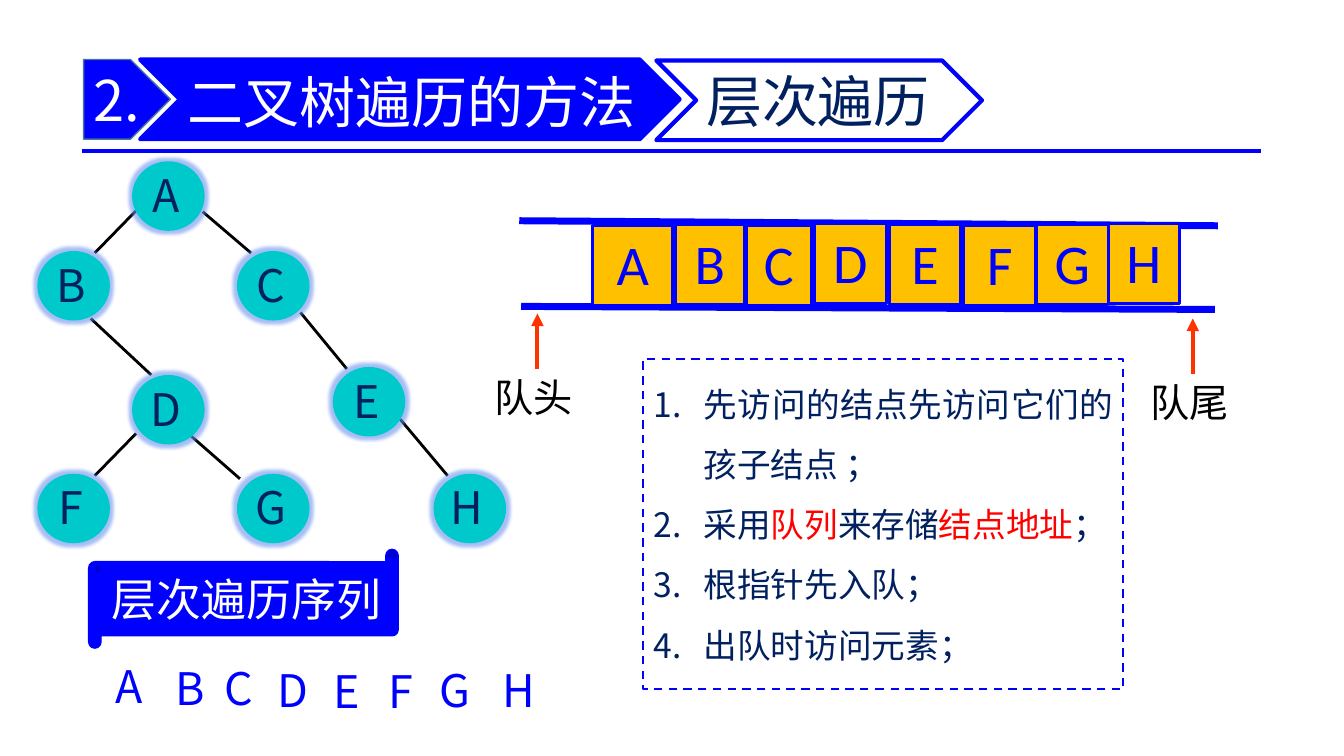
from lxml import etree
from pptx import Presentation
from pptx.dml.color import RGBColor
from pptx.enum.dml import MSO_LINE
from pptx.enum.shapes import MSO_CONNECTOR, MSO_SHAPE
from pptx.enum.text import MSO_ANCHOR, MSO_AUTO_SIZE, PP_ALIGN
from pptx.oxml.ns import qn
from pptx.util import Inches, Pt

BLUE = RGBColor(0x00, 0x00, 0xFF)
STEEL = RGBColor(0x43, 0x73, 0x9E)
NAVY = RGBColor(0x00, 0x20, 0x60)
TEAL = RGBColor(0x00, 0xC9, 0xCB)
GLOW = RGBColor(0x6D, 0x94, 0xF0)
AMBER = RGBColor(0xFF, 0xC0, 0x00)
ORANGE = RGBColor(0xFF, 0x33, 0x00)
RED = RGBColor(0xFF, 0x00, 0x00)
BLACK = RGBColor(0x00, 0x00, 0x00)
WHITE = RGBColor(0xFF, 0xFF, 0xFF)
CJK, LATIN = "Noto Sans CJK SC", "Calibri"
LEFT, CENTER, JUSTIFY = PP_ALIGN.LEFT, PP_ALIGN.CENTER, PP_ALIGN.JUSTIFY
MIDDLE, TOP = MSO_ANCHOR.MIDDLE, MSO_ANCHOR.TOP
NO_FIT, DASH, STRAIGHT = MSO_AUTO_SIZE.NONE, MSO_LINE.DASH, MSO_CONNECTOR.STRAIGHT
RECT, OVAL, CHEVRON = MSO_SHAPE.RECTANGLE, MSO_SHAPE.OVAL, MSO_SHAPE.CHEVRON
PENTAGON, SCROLL = MSO_SHAPE.PENTAGON, MSO_SHAPE.HORIZONTAL_SCROLL

NODE_W, NODE_H = 0.72, 0.69
NODES = {"A": (1.31, 1.6), "B": (0.37, 2.49), "C": (2.35, 2.49), "D": (1.31, 3.72),
         "E": (3.3, 3.64), "F": (0.37, 4.7), "G": (2.35, 4.7), "H": (4.3, 4.7)}
EDGES = [(1.35, 2.09, 0.94, 2.51), (2.01, 2.1, 2.49, 2.51), (0.9, 3.16, 1.5, 3.72),
         (2.98, 3.1, 3.44, 3.66), (1.35, 4.3, 0.94, 4.72), (1.9, 4.33, 2.38, 4.75),
         (3.97, 4.16, 4.44, 4.72)]
# letter: left, top, width
QUEUE = {"A": (5.88, 2.24, 0.79), "B": (6.7, 2.23, 0.68), "C": (7.4, 2.24, 0.65),
         "D": (8.08, 2.22, 0.71), "E": (8.82, 2.23, 0.71), "F": (9.56, 2.24, 0.71),
         "G": (10.28, 2.23, 0.71), "H": (10.99, 2.22, 0.71)}
SEQUENCE = {"A": (1.05, 6.48), "B": (1.64, 6.5), "C": (2.13, 6.5), "D": (2.65, 6.52),
            "E": (3.21, 6.53), "F": (3.75, 6.53), "G": (4.26, 6.52), "H": (4.89, 6.52)}
STEPS = [
    [("先访问的结点先访问它们的孩子结点 ；", NAVY)],
    [("采用", NAVY), ("队列", RED), ("来存储", NAVY), ("结点地址", RED), ("；", NAVY)],
    [("根指针先入队；", NAVY)],
    [("出队时访问元素；", NAVY)],
]


def add_run(p, text, size, color, font=CJK):
    r = p.add_run()
    r.text = text
    r.font.size, r.font.name = Pt(size), font
    r.font.color.rgb = color
    etree.SubElement(r.font._element, qn("a:ea"), typeface=font)


def set_frame(tf, insets, wrap=False, anchor=MIDDLE):
    tf.margin_left, tf.margin_top, tf.margin_right, tf.margin_bottom = map(Inches, insets)
    tf.auto_size, tf.word_wrap, tf.vertical_anchor = NO_FIT, wrap, anchor


def write(sp, text, size, color, align=CENTER, insets=(0, 0, 0, 0), font=CJK):
    set_frame(sp.text_frame, insets)
    p = sp.text_frame.paragraphs[0]
    p.alignment = align
    add_run(p, text, size, color, font)


def add_shape(s, kind, box, fill, line=None, width=1):
    sp = s.shapes.add_shape(kind, *map(Inches, box))
    sp.shadow.inherit = False
    sp.fill.solid()
    sp.fill.fore_color.rgb = fill
    if line is None:
        sp.line.fill.background()
    else:
        sp.line.color.rgb, sp.line.width = line, Pt(width)
    return sp


def add_label(s, box, text, size, color):
    sp = s.shapes.add_textbox(*map(Inches, box))
    write(sp, text, size, color, LEFT, (0.1, 0.05, 0.1, 0.05))
    sp.text_frame.word_wrap = True


def add_line(s, ends, color, width, arrow=False):
    c = s.shapes.add_connector(STRAIGHT, *map(Inches, ends))
    c.line.color.rgb, c.line.width = color, Pt(width)
    if arrow:
        etree.SubElement(c.line._get_or_add_ln(), qn("a:tailEnd"), type="triangle")
    etree.SubElement(c._element.spPr, qn("a:effectLst"))


def add_node(s, letter, left, top):
    sp = add_shape(s, OVAL, (left, top, NODE_W, NODE_H), TEAL)
    effects = sp._element.spPr.find(qn("a:effectLst"))
    glow = etree.SubElement(effects, qn("a:glow"), rad=str(Pt(5)))
    color = etree.SubElement(glow, qn("a:srgbClr"), val=str(GLOW))
    etree.SubElement(color, qn("a:alpha"), val="60000")
    write(sp, letter, 32, NAVY, insets=(0, 0, 0.05, 0.03))


def place(s, sp, box):
    """Position a placeholder and bring it to the front."""
    sp.left, sp.top, sp.width, sp.height = map(Inches, box)
    s.shapes._spTree.append(sp._element)


def add_header(s):
    add_line(s, (0.81, 1.5, 12.51, 1.5), BLUE, 3)
    topic = add_shape(s, CHEVRON, (6.51, 0.6, 3.23, 0.79), WHITE, BLUE, 3)
    write(topic, "层次遍历", 40, NAVY, LEFT, (0.1, 0, 0, 0))
    number = add_shape(s, PENTAGON, (0.83, 0.59, 0.86, 0.79), BLUE, STEEL)
    write(number, "2.", 40, WHITE, LEFT, (0.1, 0, 0, 0))
    add_shape(s, CHEVRON, (1.39, 0.59, 5.35, 0.79), BLUE, BLUE, 3)
    place(s, s.shapes.title, (1.82, 0.46, 4.6, 1.08))
    write(s.shapes.title, "二叉树遍历的方法", 40, WHITE, LEFT, (0.04, 0.02, 0, 0.02))


def add_tree(s):
    for ends in EDGES:
        add_line(s, ends, BLACK, 2)
    for letter, (left, top) in NODES.items():
        add_node(s, letter, left, top)


def add_queue(s):
    add_line(s, (12.08, 2.24, 5.15, 2.19), BLUE, 5)
    add_line(s, (12.05, 3.07, 5.17, 3.04), BLUE, 5)
    for letter, (left, top, width) in QUEUE.items():
        cell = add_shape(s, RECT, (left, top, width, 0.79), AMBER, BLUE, 2)
        write(cell, letter, 40, BLUE, insets=(0.1, 0, 0.1, 0.05), font=LATIN)
    for text, x, tip in (("队头", 5.33, 3.11), ("队尾", 11.83, 3.16)):
        add_line(s, (x, tip + 0.55, x, tip), ORANGE, 3, arrow=True)
        add_label(s, (x - 0.52, tip + 0.54, 1.07, 0.57), text, 28, BLACK)


def add_sequence(s):
    banner = add_shape(s, SCROLL, (0.88, 5.45, 3.07, 0.98), BLUE, BLUE)
    write(banner, "层次遍历序列", 32, WHITE)
    for letter, (left, top) in SEQUENCE.items():
        add_label(s, (left, top, 0.59, 0.64), letter, 32, BLUE)


def add_steps(s):
    body = s.placeholders[1]
    place(s, body, (6.38, 3.56, 4.76, 3.28))
    body.fill.solid()
    body.fill.fore_color.rgb = WHITE
    body.line.color.rgb, body.line.width = BLUE, Pt(1.5)
    body.line.dash_style = DASH
    tf = body.text_frame
    set_frame(tf, (0.1, 0.05, 0.1, 0.05), wrap=True, anchor=TOP)
    for i, step in enumerate(STEPS):
        p = tf.add_paragraph() if i else tf.paragraphs[0]
        p.alignment, p.line_spacing = JUSTIFY, Pt(43)
        p.space_before = p.space_after = Pt(0)
        pPr = p._p.get_or_add_pPr()
        pPr.set("marL", str(Inches(0.5)))
        pPr.set("indent", str(Inches(-0.5)))
        etree.SubElement(pPr, qn("a:buFont"), typeface=CJK)
        etree.SubElement(pPr, qn("a:buAutoNum"), type="arabicPeriod")
        for text, color in step:
            add_run(p, text, 24, color)


def main():
    prs = Presentation()
    prs.slide_width, prs.slide_height = Inches(13.33), Inches(7.5)
    s = prs.slides.add_slide(prs.slide_layouts[1])
    add_header(s)
    add_tree(s)
    add_queue(s)
    add_sequence(s)
    add_steps(s)
    prs.save("out.pptx")


if __name__ == "__main__":
    main()
